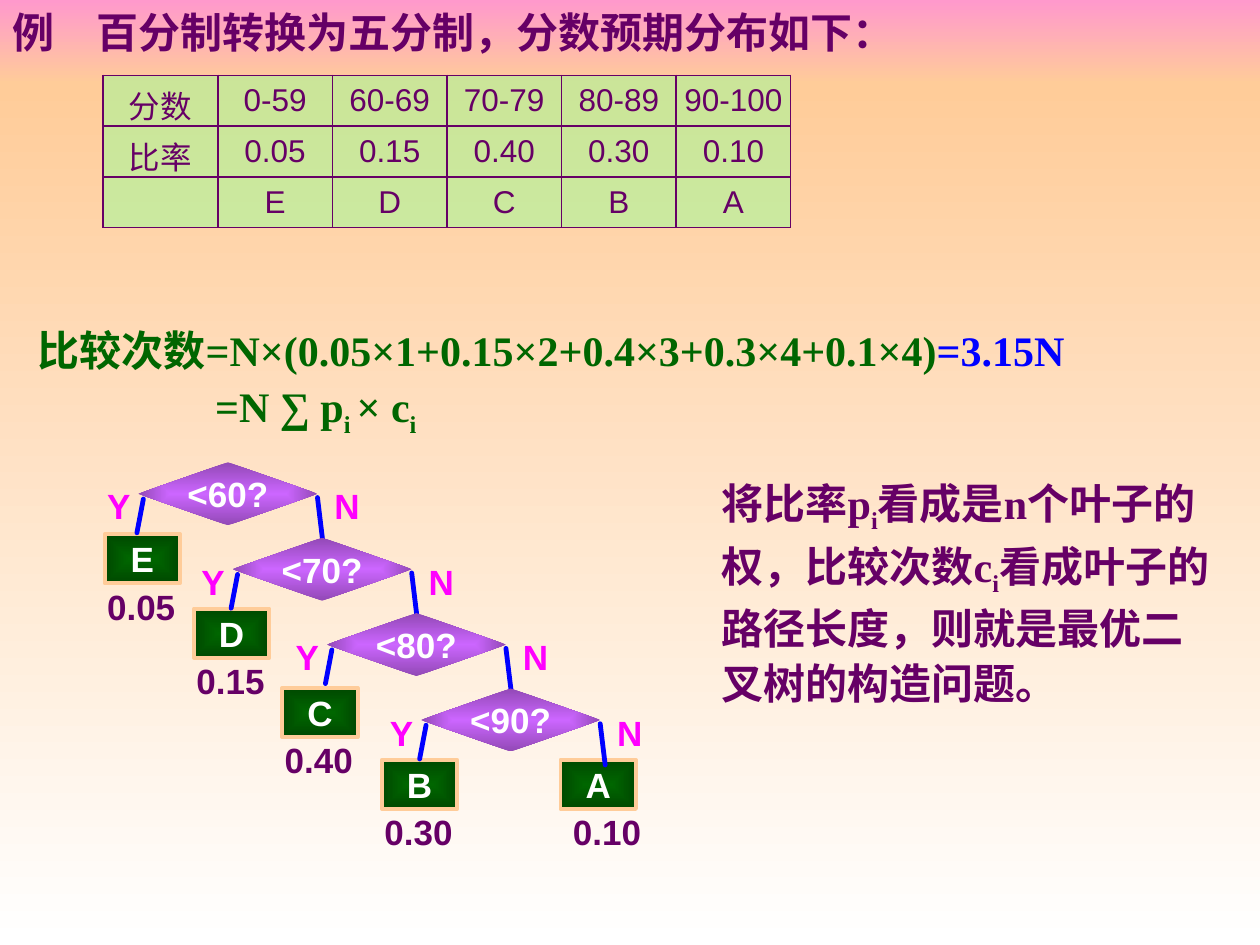
from dataclasses import dataclass

from lxml import etree
from pptx import Presentation
from pptx.dml.color import RGBColor
from pptx.enum.shapes import MSO_CONNECTOR, MSO_SHAPE
from pptx.enum.text import MSO_ANCHOR as ANCHOR, PP_ALIGN as ALIGN
from pptx.oxml.ns import qn
from pptx.util import Cm, Pt


@dataclass(frozen=True)
class Theme:
    pink: str = "FF99CC"
    peach: str = "FFCC99"
    white: str = "FFFFFF"
    purple: str = "660066"
    green: str = "006600"
    dark_green: str = "004900"
    blue: str = "0000FF"
    magenta: str = "FF00FF"
    violet: str = "CC66FF"
    dark_violet: str = "9249B6"
    cell: str = "99FF99"
    serif: str = "Times New Roman"
    sans: str = "Arial"
    body: int = 24
    label: int = 20
    table: int = 18


T = Theme()
SCORES = [
    ["分数", "0-59", "60-69", "70-79", "80-89", "90-100"],
    ["比率", "0.05", "0.15", "0.40", "0.30", "0.10"],
    ["", "E", "D", "C", "B", "A"],
]
LEAVES = [
    ("E", "0.05", 2.11, 10.77, -0.2),
    ("D", "0.15", 3.91, 12.27, -0.2),
    ("C", "0.40", 5.69, 13.87, -0.2),
    ("B", "0.30", 7.7, 15.32, -0.2),
    ("A", "0.10", 11.3, 15.32, 0),
]


def style(r, size, color, name=T.sans, bold=True):
    r.font.size = Pt(size)
    r.font.name = name
    r.font.bold = bold
    r.font.color.rgb = RGBColor.from_string(color)


def add_runs(p, runs):
    p.line_spacing = 1.1
    for text, color, is_sub in runs:
        r = p.add_run()
        r.text = text
        style(r, T.body, color, T.serif)
        if is_sub:
            r.font._element.set("baseline", "-25000")


def fill_gradient(sp, first, last, from_center=False):
    sp.fill.gradient()
    sp.fill.gradient_angle = 270
    for stop, color in zip(sp.fill.gradient_stops, (first, last)):
        stop.color.rgb = RGBColor.from_string(color)
    if from_center:
        lin = sp._element.spPr.find(".//" + qn("a:lin"))
        center = etree.Element(qn("a:path"), path="shape")
        etree.SubElement(center, qn("a:fillToRect"),
                         dict.fromkeys("ltrb", "50000"))
        lin.getparent().replace(lin, center)


def add_shape(slide, kind, x, y, w, h, colors, text="", border=None):
    sp = slide.shapes.add_shape(kind, Cm(x), Cm(y), Cm(w), Cm(h))
    sp.shadow.inherit = False
    fill_gradient(sp, *colors, from_center=bool(text))
    if border:
        sp.line.color.rgb = RGBColor.from_string(border)
        sp.line.width = Pt(2.25)
    else:
        sp.line.fill.background()
    if text:
        tf = sp.text_frame
        tf.text = text
        tf.word_wrap = False
        tf.vertical_anchor = ANCHOR.MIDDLE
        p = tf.paragraphs[0]
        p.alignment = ALIGN.CENTER
        style(p.runs[0], T.label, T.white)


def add_label(slide, text, x, y, w, color):
    tf = slide.shapes.add_textbox(Cm(x), Cm(y), Cm(w), Cm(1.09)).text_frame
    tf.text = text
    tf.word_wrap = False
    style(tf.paragraphs[0].runs[0], T.label, color)


def add_paragraph_box(slide, x, y, w, h, anchor, paragraphs):
    tf = slide.shapes.add_textbox(Cm(x), Cm(y), Cm(w), Cm(h)).text_frame
    tf.word_wrap = True
    tf.vertical_anchor = anchor
    for i, runs in enumerate(paragraphs):
        add_runs(tf.add_paragraph() if i else tf.paragraphs[0], runs)
    return tf


def add_branch(slide, x1, y1, x2, y2):
    line = slide.shapes.add_connector(MSO_CONNECTOR.STRAIGHT, Cm(x1), Cm(y1), Cm(x2), Cm(y2))
    line.line.color.rgb = RGBColor.from_string(T.blue)
    line.line.width = Pt(2.75)
    line.line._ln.set("cap", "rnd")
    etree.SubElement(line._element.spPr, qn("a:effectLst"))


def add_decision(slide, text, x, y):
    add_label(slide, "Y", x - 0.88, y + 0.33, 0.99, T.magenta)
    add_label(slide, "N", x + 3.7, y + 0.33, 1.02, T.magenta)
    add_shape(slide, MSO_SHAPE.FLOWCHART_DECISION, x, y, 3.61, 1.27,
              (T.violet, T.dark_violet), text)
    add_branch(slide, x + 3.61, y + 0.71, x + 3.71, y + 1.54)
    add_branch(slide, x + 0.1, y + 0.74, x - 0.03, y + 1.42)


def format_cell(cell, text):
    cell.margin_left = cell.margin_right = 0
    cell.margin_top = cell.margin_bottom = Cm(0.13)
    cell.vertical_anchor = ANCHOR.MIDDLE
    cell.fill.solid()
    cell.fill.fore_color.rgb = RGBColor.from_string(T.cell)
    tc_pr = cell._tc.get_or_add_tcPr()
    etree.SubElement(tc_pr.find(".//" + qn("a:srgbClr")), qn("a:alpha"), val="50000")
    for i, side in enumerate("LRTB"):
        ln = etree.Element(qn("a:ln" + side), w=str(Pt(1)))
        solid = etree.SubElement(ln, qn("a:solidFill"))
        etree.SubElement(solid, qn("a:srgbClr"), val=T.purple)
        tc_pr.insert(i, ln)
    p = cell.text_frame.paragraphs[0]
    p.text = text
    p.alignment = ALIGN.CENTER
    style(p, T.table, T.purple, bold=False)


def add_score_table(slide):
    table = slide.shapes.add_table(3, 6, Cm(2.08), Cm(1.52), Cm(13.86), Cm(3.06)).table
    table.first_row = table.horz_banding = False
    for i, row in enumerate(SCORES):
        for j, text in enumerate(row):
            format_cell(table.cell(i, j), text)


def set_title(slide, text):
    title = slide.shapes.title
    title.left, title.top, title.width, title.height = 0, 0, Cm(25.4), Cm(1.27)
    tf = title.text_frame
    tf.text = text
    tf.vertical_anchor = ANCHOR.TOP
    p = tf.paragraphs[0]
    p.alignment = ALIGN.LEFT
    style(p.runs[0], T.body, T.purple, T.serif)
    slide.shapes._spTree.append(title._element)


def main():
    prs = Presentation()
    prs.slide_width, prs.slide_height = Cm(25.4), Cm(19.05)
    slide = prs.slides.add_slide(prs.slide_layouts[5])

    add_shape(slide, MSO_SHAPE.RECTANGLE, 0, 0, 25.4, 1.7, (T.pink, T.peach))
    add_shape(slide, MSO_SHAPE.RECTANGLE, 0, 1.7, 25.4, 17.35, (T.peach, T.white))
    set_title(slide, "例　百分制转换为五分制，分数预期分布如下：")

    formula = add_paragraph_box(slide, 0.51, 6.32, 24.41, 2.49, ANCHOR.TOP, [
        [("比较次数=N×(0.05×1+0.15×2+0.4×3+0.3×4+0.1×4)", T.green, False),
         ("=3.15N", T.blue, False)],
        [("=N ∑ p", T.green, False), ("i ", T.green, True),
         ("× c", T.green, False), ("i", T.green, True)],
    ])
    formula.paragraphs[1]._p.get_or_add_pPr().set("marL", str(Cm(3.58)))
    add_paragraph_box(slide, 14.3, 9.53, 10.39, 4.72, ANCHOR.MIDDLE, [
        [("将比率p", T.purple, False), ("i", T.purple, True),
         ("看成是n个叶子的权，比较次数c", T.purple, False), ("i", T.purple, True),
         ("看成叶子的路径长度，则就是最优二叉树的构造问题。", T.purple, False)],
    ])

    for grade, rate, x, y, shift in LEAVES:
        add_shape(slide, MSO_SHAPE.RECTANGLE, x, y, 1.52, 0.99,
                  (T.green, T.dark_green), grade, T.peach)
        add_label(slide, rate, x + shift, y + 0.9, 1.88, T.purple)
    for i, limit in enumerate((60, 70, 80, 90)):
        add_decision(slide, f"<{limit}?", 2.79 + 1.9 * i, 9.32 + 1.52 * i)
    add_score_table(slide)
    prs.save("out.pptx")


if __name__ == "__main__":
    main()
